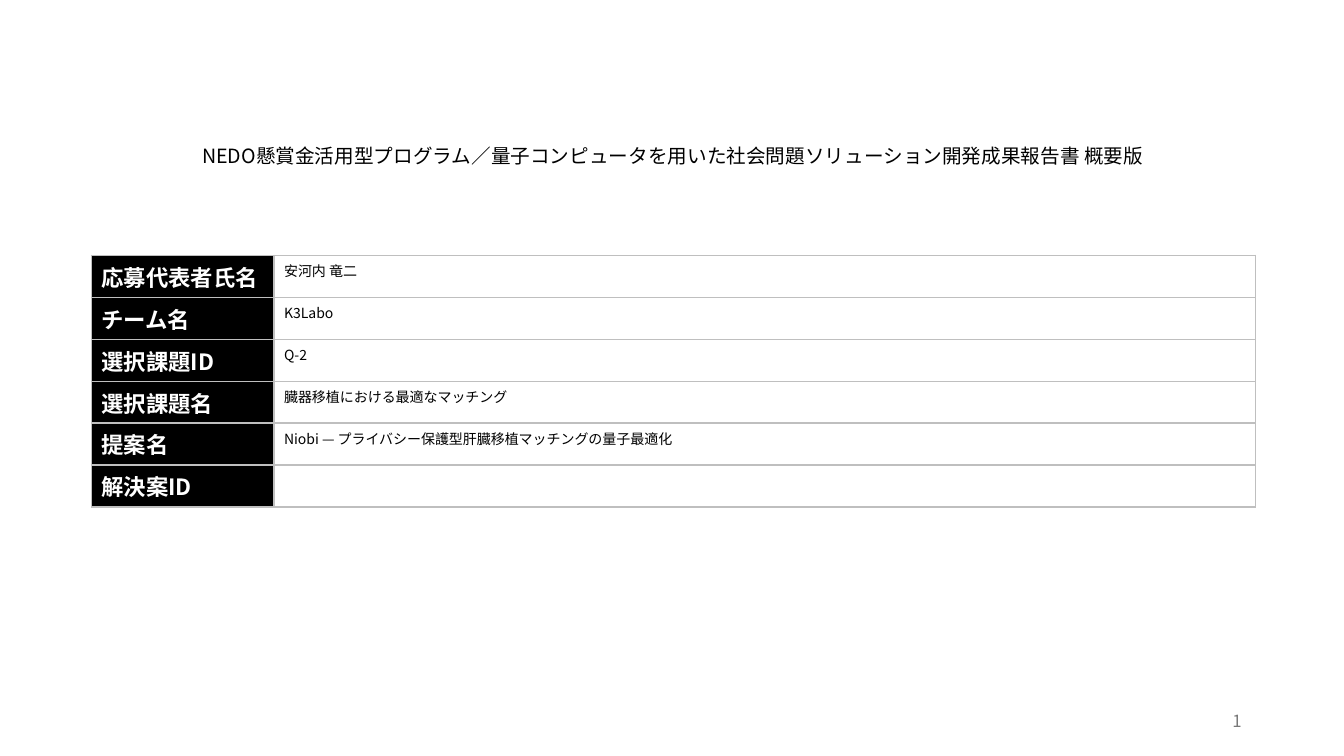
import dataclasses

import pptx
import pptx.dml.color
import pptx.enum.text
import pptx.oxml.ns
import pptx.util
from lxml import etree

PX = 9525
ALIGN = pptx.enum.text.PP_ALIGN


@dataclasses.dataclass(frozen=True)
class Theme:
    font: str = "Noto Sans CJK JP"
    black: str = "000000"
    white: str = "FFFFFF"
    border: str = "BFBFBF"
    page_gray: str = "797979"
    title_size: int = 14
    label_size: int = 16
    entry_size: int = 10
    page_size: int = 12
    border_width: int = 1


THEME = Theme()

ENTRIES = [
    ("応募代表者氏名", "安河内 竜二"),
    ("チーム名", "K3Labo"),
    ("選択課題ID", "Q-2"),
    ("選択課題名", "臓器移植における最適なマッチング"),
    ("提案名", "Niobi — プライバシー保護型肝臓移植マッチングの量子最適化"),
    ("解決案ID", ""),
]


def px(length):
    return pptx.util.Emu(length * PX)


def rgb(color):
    return pptx.dml.color.RGBColor.from_string(color)


def add_run(paragraph, words, size, color, bold=False):
    run = paragraph.add_run()
    run.text = words
    run.font.size = pptx.util.Pt(size)
    run.font.bold = bold
    run.font.color.rgb = rgb(color)
    run.font.name = THEME.font
    east_asian = etree.SubElement(run.font._element, pptx.oxml.ns.qn("a:ea"))
    east_asian.set("typeface", THEME.font)


def add_text(slide, box, words, size, color, align, line_spacing=1.0):
    frame = slide.shapes.add_textbox(*map(px, box)).text_frame
    frame.word_wrap = True
    frame.vertical_anchor = pptx.enum.text.MSO_ANCHOR.MIDDLE
    paragraph = frame.paragraphs[0]
    paragraph.alignment = align
    paragraph.line_spacing = line_spacing
    add_run(paragraph, words, size, color)


def add_borders(cell):
    properties = cell._tc.get_or_add_tcPr()
    for position, side in enumerate(("lnL", "lnR", "lnT", "lnB")):
        line = etree.Element(pptx.oxml.ns.qn(f"a:{side}"))
        line.set("w", str(pptx.util.Pt(THEME.border_width)))
        fill = etree.SubElement(line, pptx.oxml.ns.qn("a:solidFill"))
        color = etree.SubElement(fill, pptx.oxml.ns.qn("a:srgbClr"))
        color.set("val", THEME.border)
        properties.insert(position, line)


def fill_cell(cell, words, size, color, background, bold):
    cell.fill.solid()
    cell.fill.fore_color.rgb = rgb(background)
    add_borders(cell)
    if words:
        add_run(cell.text_frame.paragraphs[0], words, size, color, bold)


def add_entry_table(slide, left, top, widths, row_height):
    table = slide.shapes.add_table(
        len(ENTRIES), len(widths), px(left), px(top),
        px(sum(widths)), px(row_height * len(ENTRIES)),
    ).table
    for column, width in zip(table.columns, widths):
        column.width = px(width)
    for row, (label, entry) in zip(table.rows, ENTRIES):
        label_cell, entry_cell = row.cells
        fill_cell(label_cell, label, THEME.label_size, THEME.white, THEME.black, True)
        fill_cell(entry_cell, entry, THEME.entry_size, THEME.black, THEME.white, False)


def main():
    report = pptx.Presentation()
    report.slide_width, report.slide_height = px(1280), px(720)
    cover = report.slides.add_slide(report.slide_layouts[6])
    add_text(
        cover, (161, 42, 960, 215),
        "NEDO懸賞金活用型プログラム／量子コンピュータを用いた社会問題ソリューション開発成果報告書 概要版",
        THEME.title_size, THEME.black, ALIGN.CENTER, 0.9,
    )
    add_entry_table(cover, 87, 243, (174, 935), 40)
    add_text(
        cover, (904, 667, 288, 38), "1",
        THEME.page_size, THEME.page_gray, ALIGN.RIGHT,
    )
    report.save("out.pptx")


if __name__ == "__main__":
    main()
